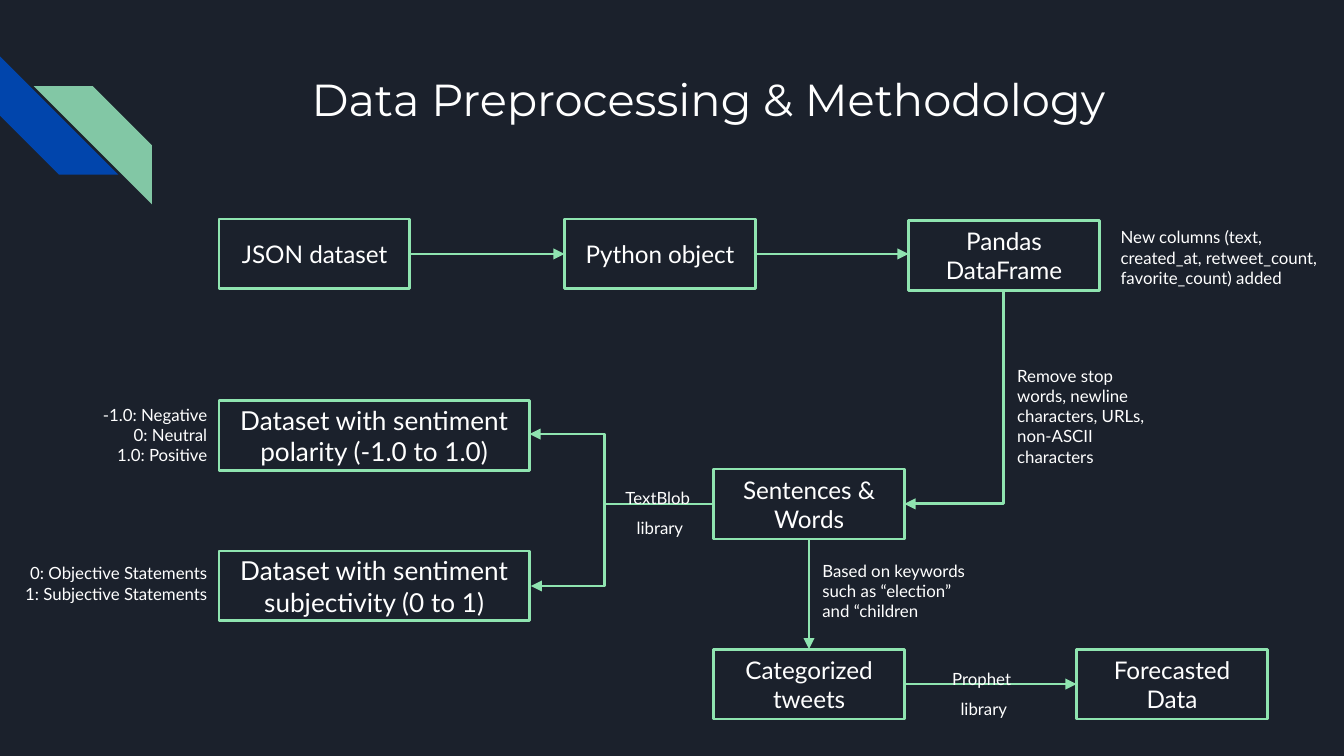
from dataclasses import dataclass

from lxml import etree
from pptx import Presentation
from pptx.dml.color import RGBColor
from pptx.enum import shapes as es, text as et
from pptx.oxml import ns
from pptx.util import Inches, Pt

NAVY = RGBColor(0x1B, 0x21, 0x2C)
BLUE = RGBColor(0x01, 0x45, 0xAC)
GREEN = RGBColor(0x82, 0xC7, 0xA5)
MINT = RGBColor(0x8F, 0xE4, 0xB0)
WHITE = RGBColor(0xFF, 0xFF, 0xFF)

LEFT, MID, RIGHT = et.PP_ALIGN.LEFT, et.PP_ALIGN.CENTER, et.PP_ALIGN.RIGHT
TOP, CENTER = et.MSO_ANCHOR.TOP, et.MSO_ANCHOR.MIDDLE
FRAME = {"word_wrap": True, "auto_size": et.MSO_AUTO_SIZE.NONE,
         **{f"margin_{side}": Inches(0.1)
            for side in ("left", "right", "top", "bottom")}}
HIGH = 0.52  # height of every step box


@dataclass
class Step:
    text: str
    x: float
    y: float
    wide: float = 1.42
    size: float = 13


@dataclass
class Note:
    lines: list[str]
    x: float
    y: float
    wide: float
    high: float
    align: et.PP_ALIGN = LEFT
    space: float = 1.0


@dataclass
class Link:
    x1: float
    y1: float
    x2: float
    y2: float
    tip: str = "tailEnd"  # which end has the arrowhead, if any
    kind: str = "line"
    bend: int = 0         # place of the elbow, in 1/100000 of the width


STEPS = [
    Step("JSON dataset", 1.63, 1.63),
    Step("Python object", 4.2, 1.63),
    Step("Pandas DataFrame", 6.76, 1.64),
    Step("Sentences & Words", 5.31, 3.49),
    Step("Dataset with sentiment polarity (-1.0 to 1.0)", 1.63, 2.98, 2.31, 14),
    Step("Dataset with sentiment subjectivity (0 to 1)", 1.63, 4.1, 2.31, 14),
    Step("Categorized tweets", 5.31, 4.83),
    Step("Forecasted Data", 8.01, 4.83),
]
NOTES = [
    Note(["New columns (text, created_at, retweet_count, favorite_count) added"],
         8.24, 1.59, 1.7, 0.66),
    Note(["Remove stop words, newline characters, URLs, non-ASCII characters"],
         7.47, 2.62, 1.29, 1),
    Note(["Based on keywords such as “election” and “children"],
         6.02, 4.07, 1.29, 0.71),
    Note(["-1.0: Negative", "0: Neutral", "1.0: Positive"],
         -0.19, 2.91, 1.83, 0.66, RIGHT),
    Note(["0: Objective Statements", "1: Subjective Statements"],
         0.01, 4.09, 1.63, 0.55, RIGHT),
    Note(["TextBlob ", "library"], 4.55, 3.45, 0.72, 0.71, MID, 1.5),
    Note(["Prophet ", "library"], 6.96, 4.8, 0.72, 0.71, MID, 1.5),
]
LINKS = [
    Link(3.04, 1.89, 4.2, 1.89),
    Link(5.61, 1.89, 6.76, 1.89),
    Link(6.73, 3.75, 7.47, 2.15, "headEnd", "bentConnector2"),
    Link(5.31, 3.75, 4.01, 3.23, "", "bentConnector3", 62600),
    Link(5.06, 3.75, 4.02, 4.36, "", "bentConnector3", 54000),
    Link(4.35, 3.23, 3.94, 3.23),
    Link(4.36, 4.36, 3.95, 4.36),
    Link(6.02, 4.01, 6.02, 4.83),
    Link(6.73, 5.09, 8.01, 5.09),
]


def write(shape, lines: list[str], size: float, font: str = "Lato",
          align=MID, anchor=TOP, space: float = 1.0) -> None:
    frame = shape.text_frame
    for name, val in {**FRAME, "vertical_anchor": anchor}.items():
        setattr(frame, name, val)
    for i, line in enumerate(lines):
        para = frame.add_paragraph() if i else frame.paragraphs[0]
        para.alignment, para.line_spacing = align, space
        run = para.add_run()
        run.text = line
        for name, val in {"name": font, "size": Pt(size), "bold": False}.items():
            setattr(run.font, name, val)
        run.font.color.rgb = WHITE


def stripe(slide, x: float, y: float, color: RGBColor):
    shape = slide.shapes.add_shape(es.MSO_SHAPE.DIAGONAL_STRIPE, *map(
        Inches, (x, y, 0.88, 0.88)))
    shape.shadow.inherit = False
    shape.fill.solid()
    shape.fill.fore_color.rgb = color
    shape.line.fill.background()
    return shape


def draw_step(slide, step: Step) -> None:
    box = slide.shapes.add_shape(es.MSO_SHAPE.RECTANGLE, *map(
        Inches, (step.x, step.y, step.wide, HIGH)))
    box.shadow.inherit = False
    box.fill.background()
    box.line.color.rgb, box.line.width = MINT, Pt(1.5)
    write(box, [step.text], step.size, anchor=CENTER)


def draw_note(slide, note: Note) -> None:
    box = slide.shapes.add_textbox(*map(
        Inches, (note.x, note.y, note.wide, note.high)))
    write(box, note.lines, 9, align=note.align, space=note.space)


def draw_link(slide, link: Link) -> None:
    wire = slide.shapes.add_connector(es.MSO_CONNECTOR.STRAIGHT, *map(
        Inches, (link.x1, link.y1, link.x2, link.y2)))
    wire.line.color.rgb, wire.line.width = MINT, Pt(1.5)
    props = wire._element.spPr
    geom = props.find(ns.qn("a:prstGeom"))
    geom.set("prst", link.kind)
    if link.bend:
        etree.SubElement(geom.find(ns.qn("a:avLst")), ns.qn("a:gd"),
                         name="adj1", fmla=f"val {link.bend}")
    if link.tip:
        etree.SubElement(props.find(ns.qn("a:ln")), ns.qn(f"a:{link.tip}"),
                         type="triangle")
    etree.SubElement(props, ns.qn("a:effectLst"))


def main() -> None:
    deck = Presentation()
    deck.slide_width = Inches(10)
    deck.slide_height = Inches(10 * 9 / 16)
    slide = deck.slides.add_slide(deck.slide_layouts[5])
    slide.background.fill.solid()
    slide.background.fill.fore_color.rgb = NAVY

    # Corner stripes
    stripe(slide, 0, 0.42, BLUE).rotation = 270
    flip = stripe(slide, 0.25, 0.64, GREEN)
    flip._element.spPr.find(ns.qn("a:xfrm")).set("flipH", "1")

    # Title
    title = slide.shapes.title
    spot = {"left": 1.42, "top": 0.43, "width": 7.7, "height": 1}
    for name, val in spot.items():
        setattr(title, name, Inches(val))
    write(title, ["Data Preprocessing & Methodology"], 24, "Montserrat")

    # Flow chart
    for step in STEPS:
        draw_step(slide, step)
    for link in LINKS:
        draw_link(slide, link)
    for note in NOTES:
        draw_note(slide, note)

    deck.save("out.pptx")


if __name__ == "__main__":
    main()
